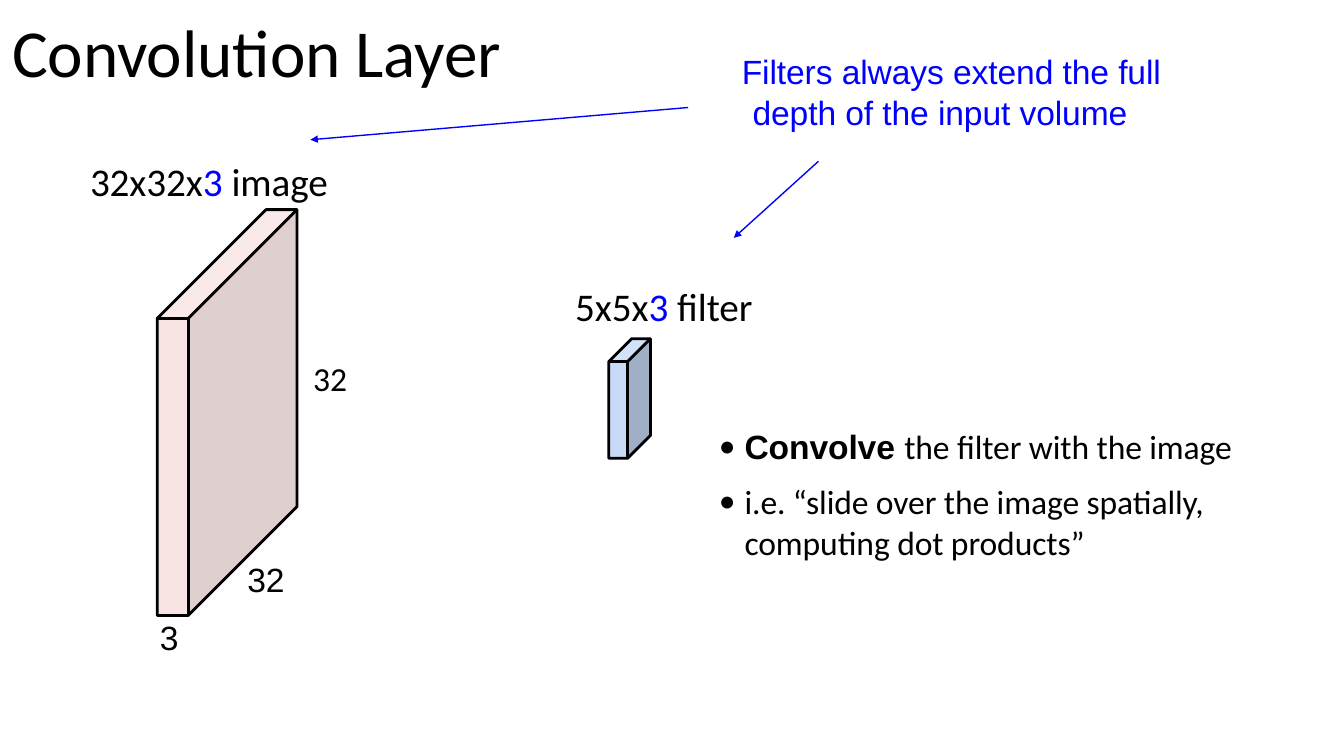
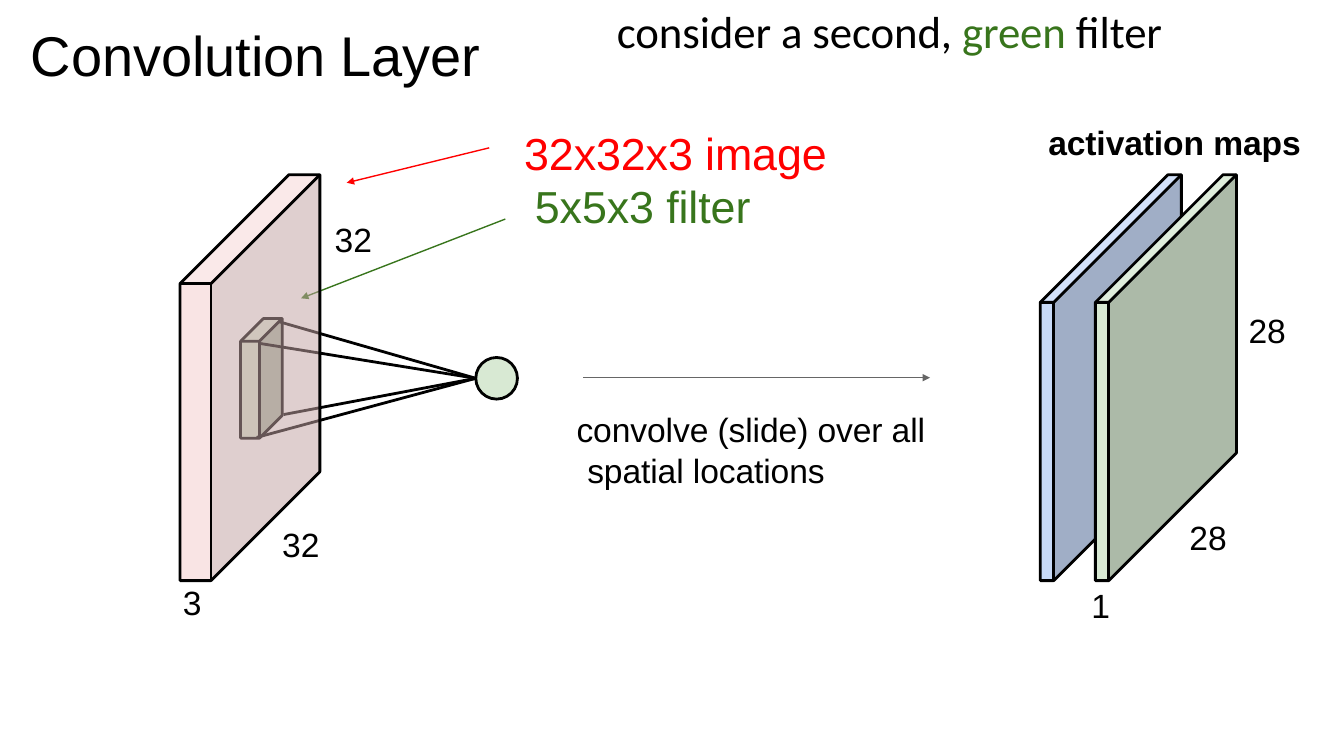
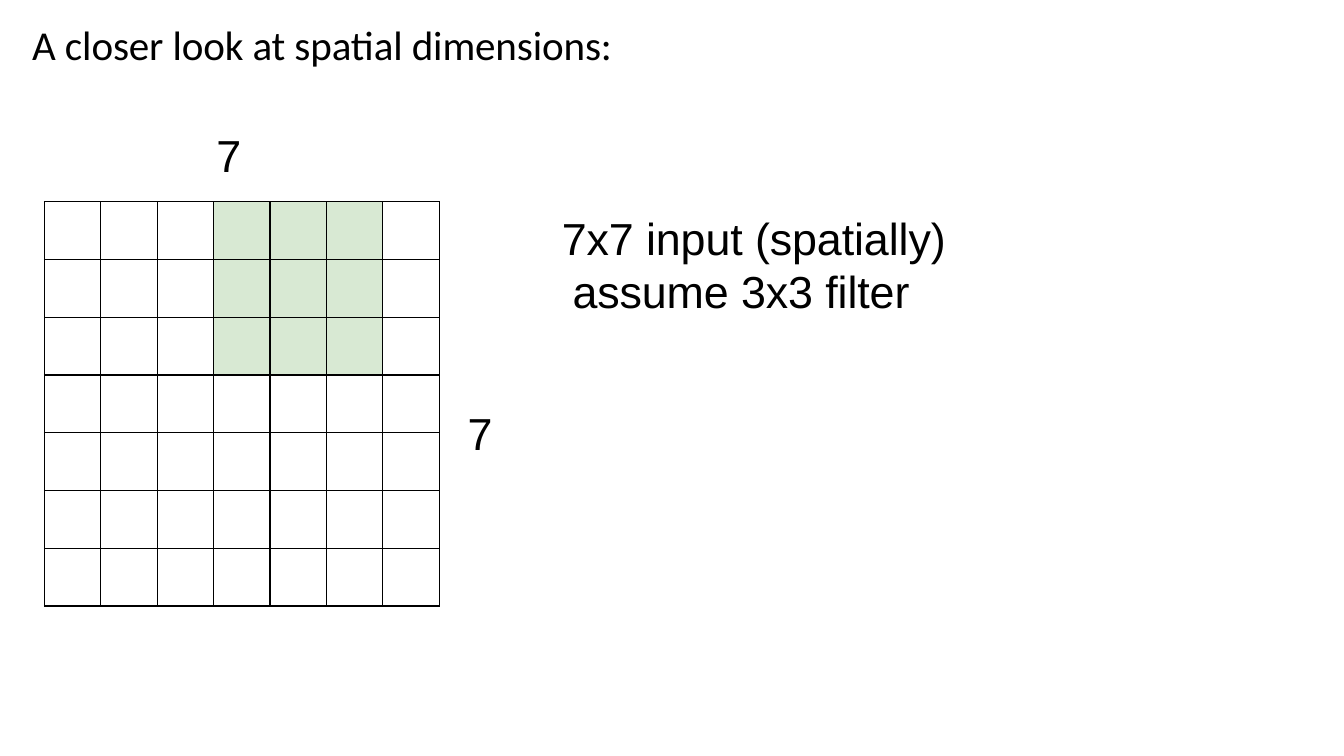
from dataclasses import dataclass

from lxml.etree import SubElement as Sub
from pptx import Presentation
from pptx.dml.color import RGBColor as Rgb
from pptx.enum.shapes import MSO_CONNECTOR as Conn, MSO_SHAPE as Kind
from pptx.enum.text import MSO_ANCHOR as Anchor
from pptx.oxml.ns import qn
from pptx.util import Inches, Pt


@dataclass(frozen=True)
class Theme:
    black: str = "000000"
    blue: str = "0000FF"
    red: str = "FF0000"
    green: str = "38751C"
    gray: str = "666666"
    mint: str = "D8E9D3"
    rose_set: tuple = ("F4CCCC", "C3A3A3", "F6D6D6")
    sky_set: tuple = ("C8DAF7", "A0AEC6", "D3E1F9")
    mint_set: tuple = ("D8E9D3", "ACBAA8", "DFEDDB")
    sans: str = "Arial"
    head: str = "Calibri"
    huge: int = 36
    big: int = 30
    mid: int = 24
    sub: int = 22
    lead: int = 21
    base: int = 18
    edge: float = 1.5
    thin: float = 0.75
    track: int = -5
    hang: float = 0.08


T = Theme()


def text(page, box, paras, font=T.sans, size=T.base, color=T.black, bold=False,
         hang=0, bullet=None, line=None, gap=0, anchor=Anchor.TOP):
    frame = page.shapes.add_textbox(*map(Inches, box)).text_frame
    frame.word_wrap = True
    frame.vertical_anchor = anchor
    frame.margin_left = frame.margin_right = frame.margin_bottom = 0
    frame.margin_top = Inches(0.01)
    for n, runs in enumerate([paras] if isinstance(paras, str) else paras):
        para = frame.add_paragraph() if n else frame.paragraphs[0]
        props = para._p.get_or_add_pPr()
        if hang:
            props.set("marL", str(Inches(hang)))
            props.set("indent", str(-Inches(hang)))
        if bullet:
            Sub(props, qn("a:buFont")).set("typeface", font)
            Sub(props, qn("a:buChar")).set("char", bullet)
        if line:
            para.line_spacing = line
        if n and gap:
            para.space_before = Pt(gap)
        for words, look in [(runs, {})] if isinstance(runs, str) else runs:
            run = para.add_run()
            run.text = words
            run.font.name = look.get("font", font)
            run.font.size = Pt(size)
            run.font.bold = look.get("bold", bold)
            run.font.color.rgb = Rgb.from_string(look.get("color", color))
            run._r.get_or_add_rPr().set("spc", str(T.track))


def title(page, box, paras, **look):
    text(page, box, paras, anchor=Anchor.MIDDLE, **look)


def label(page, x, y, words, **look):
    text(page, (x, y, 0.32, 0.33), words, **look)


def line(page, start, end, color=T.black, width=T.edge, arrow=False):
    ends = map(Inches, (*start, *end))
    wire = page.shapes.add_connector(Conn.STRAIGHT, *ends)
    wire.line.color.rgb = Rgb.from_string(color)
    wire.line.width = Pt(width)
    if arrow:
        tip = Sub(wire.line._get_or_add_ln(), qn("a:tailEnd"))
        for key, val in (("type", "triangle"), ("w", "sm"), ("len", "sm")):
            tip.set(key, val)
    Sub(wire._element.spPr, qn("a:effectLst"))


def arrow(page, start, end, color):
    line(page, start, end, color, T.thin, True)


def paint(shape, fill=None, alpha=None, edge=False):
    shape.shadow.inherit = False
    if fill:
        shape.fill.solid()
        shape.fill.fore_color.rgb = Rgb.from_string(fill)
        if alpha:
            tone = shape._element.spPr.find(qn("a:solidFill"))[0]
            Sub(tone, qn("a:alpha")).set("val", str(alpha * 1000))
    else:
        shape.fill.background()
    if edge:
        shape.line.color.rgb = Rgb.from_string(T.black)
        shape.line.width = Pt(T.edge)
    else:
        shape.line.fill.background()


def poly(page, points, close=True, **look):
    dots = [(Inches(x), Inches(y)) for x, y in points]
    pen = page.shapes.build_freeform(*dots[0])
    pen.add_line_segments(dots[1:], close=close)
    paint(pen.convert_to_shape(), **look)


def slab(page, box, thick, hues, alpha=None, marks=()):
    x, y, w, h = box
    skew = w - thick
    seam, right = x + thick, x + w
    front, base, back = y + skew, y + h, y + h - skew
    near, inner = (x, front), (seam, front)
    far, tip = (x + skew, y), (right, y)
    foot, heel, rear = (x, base), (seam, base), (right, back)
    faces = (near, inner, heel, foot), (heel, inner, tip, rear), (inner, near, far, tip)
    for face, hue in zip(faces, hues):
        poly(page, face, fill=hue, alpha=alpha)
    poly(page, (near, far, tip, rear, heel, foot), edge=True)
    poly(page, (near, inner, tip), close=False, edge=True)
    line(page, inner, heel)
    for words, dx, dy in marks:
        label(page, x + dx, y + dy, words)


def image(page, x, y, marks):
    slab(page, (x, y, 1.04, 3.02), 0.23, T.rose_set, 52, marks)


def kernel(page, x, y, hues):
    slab(page, (x, y, 0.31, 0.89), 0.14, hues)


def maps(page, x, y):
    marks = ("1", -0.03, 3.04), ("28", 0.7, 2.54), ("28", 1.14, 1)
    sets = (T.sky_set, ()), (T.mint_set, marks)
    for n, (hues, tags) in enumerate(sets):
        slab(page, (x + n * 0.41, y, 1.05, 3.02), 0.1, hues, marks=tags)
    text(page, (x + 0.06, y - 0.4, 1.96, 0.33), "activation maps", bold=True)


def neuron(page, x, y, size):
    hub = (x, y + size / 2)
    oval = page.shapes.add_shape(Kind.OVAL, *map(Inches, (x, y, size, size)))
    paint(oval, fill=T.mint, edge=True)
    for dx, dy in (-1.63, 0.44), (-1.61, -0.26), (-1.46, -0.42), (-1.43, 0.27):
        line(page, (x + dx, hub[1] + dy), hub)


def grid(page, x, y, count, col, row, lit):
    size = Inches(col * count), Inches(row * count)
    table = page.shapes.add_table(count, count, Inches(x), Inches(y), *size).table
    table.first_row = table.horz_banding = False
    for n in range(count):
        table.columns[n].width = Inches(col)
        table.rows[n].height = Inches(row)
    for r in range(count):
        for c in range(count):
            cell = table.cell(r, c)
            props = cell._tc.get_or_add_tcPr()
            for side in "LRTB":
                rule = Sub(props, qn(f"a:ln{side}"))
                rule.set("w", str(Pt(T.thin)))
                Sub(Sub(rule, qn("a:solidFill")), qn("a:srgbClr")).set("val", T.black)
            if (r, c) in lit:
                cell.fill.solid()
                cell.fill.fore_color.rgb = Rgb.from_string(T.mint)
            else:
                cell.fill.background()


def depth(page):
    blue = {"color": T.blue}
    title(page, (0.09, 0.06, 4.06, 0.63), "Convolution Layer", font=T.head, size=T.huge)
    image(page, 1.17, 1.56, (("32", 0.67, 2.59), ("3", 0.02, 3.02)))
    label(page, 2.33, 2.65, "32", font=T.head)
    kernel(page, 4.53, 2.52, T.sky_set)
    names = (0.67, 1.16, "32x32x", "image"), (4.28, 2.09, "5x5x", "filter")
    for x, y, dims, noun in names:
        text(page, (x, y, 2, 0.37), [[(dims, {}), ("3 ", blue), (noun, {})]],
             font=T.head, size=T.lead)
    text(page, (5.52, 0.37, 3.2, 0.63),
         "Filters always extend the full depth of the input volume",
         color=T.blue, hang=T.hang, line=1.01)
    arrow(page, (6.09, 1.2), (5.46, 1.77), T.blue)
    arrow(page, (5.12, 0.8), (2.31, 1.04), T.blue)
    strong = {"font": T.sans, "bold": True}
    text(page, (5.35, 3.16, 3.94, 1.05),
         [[("Convolve ", strong), ("the filter with the image", {})],
          "i.e. “slide over the image spatially, computing dot products”"],
         font=T.head, hang=0.19, bullet="•", line=1.01, gap=7.5)


def second(page):
    green = {"color": T.green}
    kernel(page, 1.79, 2.37, T.mint_set)
    neuron(page, 3.54, 2.66, 0.31)
    text(page, (0.23, 0.14, 3.5, 0.53), "Convolution Layer", size=T.big)
    text(page, (3.9, 0.93, 2.35, 0.82),
         [[("32x32x3 image ", {"color": T.red}), ("5x5x3 filter", green)]],
         size=T.mid, hang=T.hang, line=Pt(28.5))
    arrow(page, (3.64, 1.1), (2.58, 1.36), T.red)
    arrow(page, (3.76, 1.63), (2.24, 2.22), T.green)
    arrow(page, (4.34, 2.81), (6.92, 2.81), T.gray)
    text(page, (4.29, 3.03, 2.7, 0.63),
         "convolve (slide) over all spatial locations", hang=T.hang, line=1.01)
    maps(page, 7.74, 1.3)
    image(page, 1.34, 1.3, (("32", 0.76, 2.59), ("32", 1.15, 0.32), ("3", 0.02, 3.02)))
    title(page, (4.59, 0.01, 4.49, 0.43),
          [[("consider a second, ", {}), ("green ", green), ("filter", {})]],
          font=T.head, size=T.mid)


def closer(page):
    title(page, (0.24, 0.13, 4.8, 0.39), "A closer look at spatial dimensions:",
          font=T.head, size=T.sub)
    for x, y in (1.61, 0.94), (3.48, 3.01):
        label(page, x, y, "7", size=T.mid)
    text(page, (4.18, 1.56, 2.95, 0.82), "7x7 input (spatially) assume 3x3 filter",
         size=T.mid, hang=T.hang, line=Pt(28.5))
    lit = {(r, c) for r in range(3) for c in range(3, 6)}
    grid(page, 0.33, 1.5, 7, 0.42, 0.43, lit)


def main():
    deck = Presentation()
    deck.slide_width = Inches(10)
    deck.slide_height = deck.slide_width * 9 // 16
    for build in depth, second, closer:
        build(deck.slides.add_slide(deck.slide_layouts[6]))
    deck.save("out.pptx")


if __name__ == "__main__":
    main()
